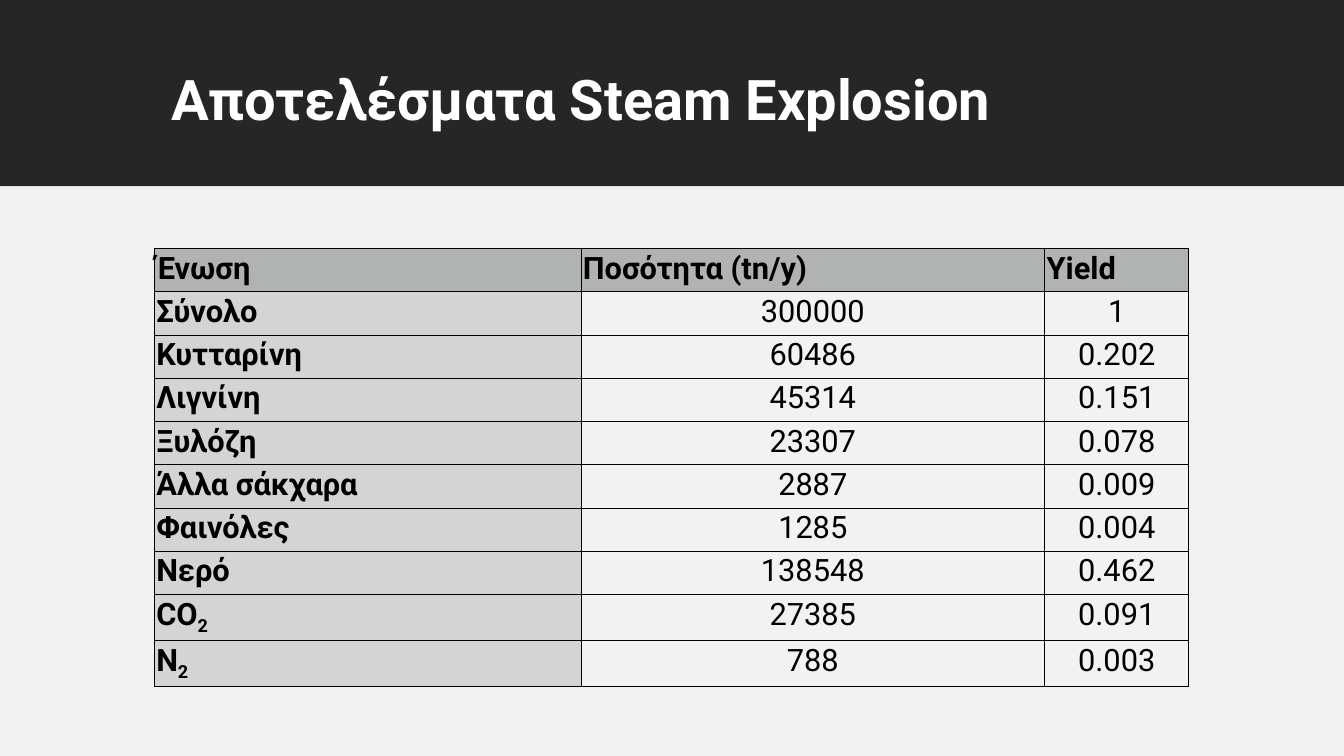
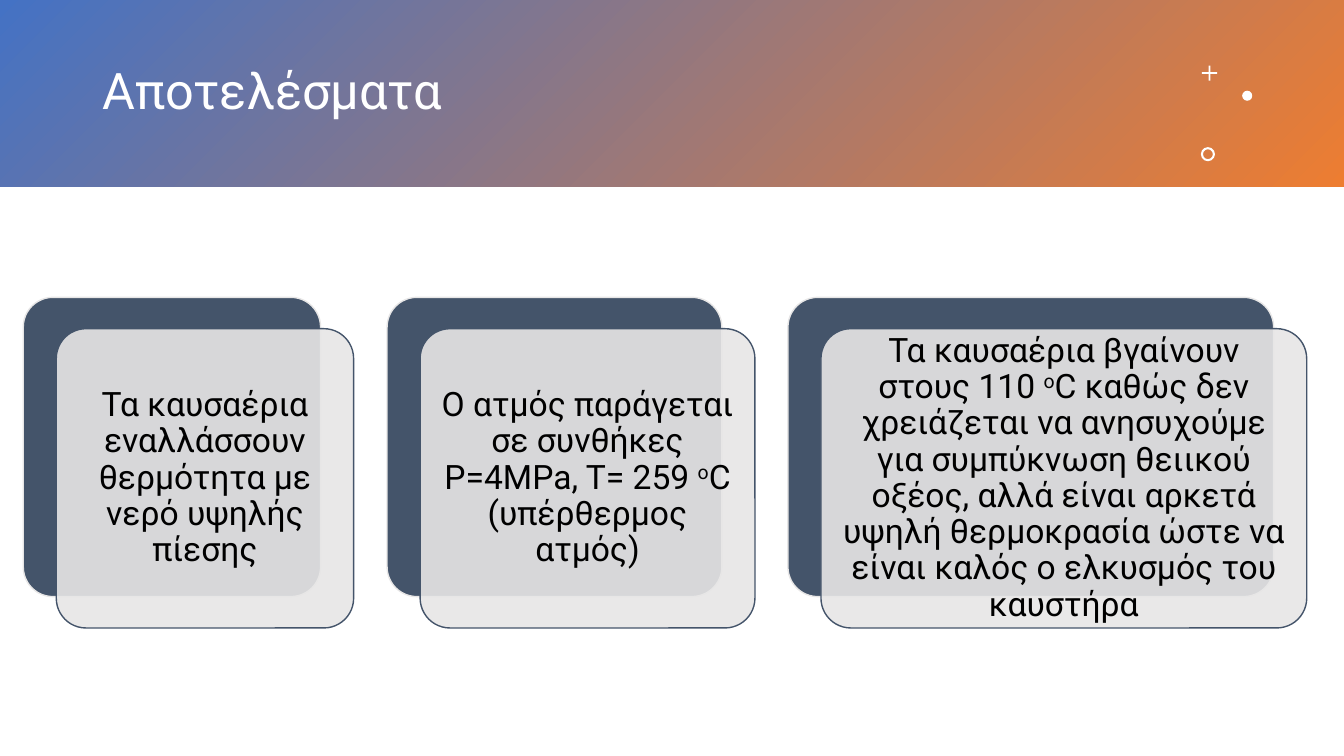
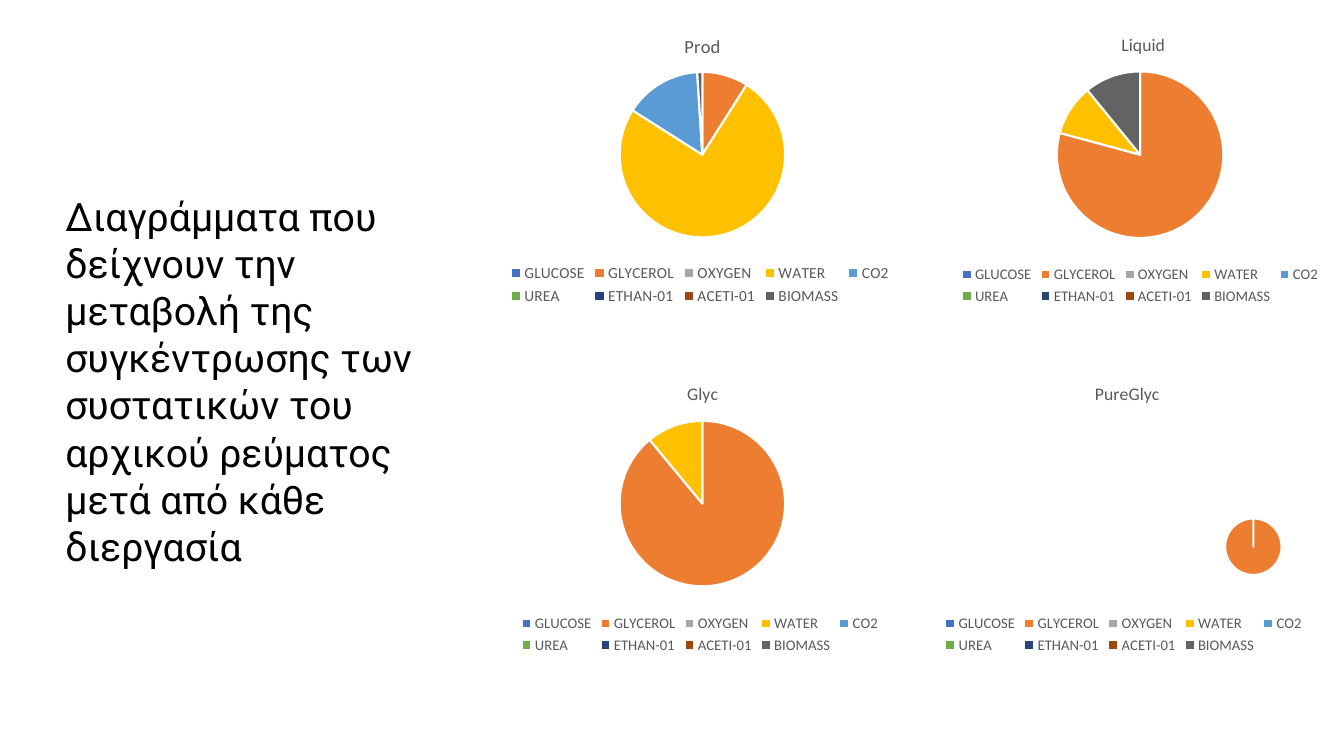
from pptx import Presentation
from pptx.chart.data import CategoryChartData as ChartData
from pptx.dml.color import RGBColor as Rgb
from pptx.enum.chart import XL_CHART_TYPE as Chart, XL_LEGEND_POSITION as Legend
from pptx.enum.shapes import MSO_SHAPE as Kind
from pptx.enum.text import MSO_ANCHOR as Anchor, PP_ALIGN as Align
from pptx.oxml import parse_xml
from pptx.oxml.ns import nsdecls, qn
from pptx.util import Pt
from lxml import etree

WIDE, HIGH, BAND = 960, 540, 133.2
FONT = "Roboto"
COLORS = {
    "black": "000000", "white": "FFFFFF", "dark": "262626", "pale": "F2F2F2",
    "head": "B0B3B2", "side": "D4D4D4", "blue": "4472C4", "orange": "ED7D31",
    "slate": "44546A", "mist": "E7E6E6", "gray": "595959",
}
SLICES = ["4472C4", "ED7D31", "A5A5A5", "FFC000", "5B9BD5",
          "70AD47", "264478", "9E480E", "636363"]
PARTS = ["GLUCOSE", "GLYCEROL", "OXYGEN", "WATER", "CO2",
         "UREA", "ETHAN-01", "ACETI-01", "BIOMASS"]
SUB, SUP = -25000, 30000

ROWS = [
    ("Ένωση", "Ποσότητα (tn/y)", "Yield"),
    ("Σύνολο", "300000", "1"),
    ("Κυτταρίνη", "60486", "0.202"),
    ("Λιγνίνη", "45314", "0.151"),
    ("Ξυλόζη", "23307", "0.078"),
    ("Άλλα σάκχαρα", "2887", "0.009"),
    ("Φαινόλες", "1285", "0.004"),
    ("Νερό", "138548", "0.462"),
    ([("CO", 0), ("2", SUB)], "27385", "0.091"),
    ([("N", 0), ("2", SUB)], "788", "0.003"),
]
CARDS = [
    (16.6, 212.4, "Τα καυσαέρια εναλλάσσουν θερμότητα με νερό υψηλής πίεσης"),
    (276.5, 239.2, [("Ο ατμός παράγεται σε συνθήκες P=4MPa, T= 259 ", 0),
                    ("o", SUP), ("C (υπέρθερμος ατμός)", 0)]),
    (562.8, 347, [("Τα καυσαέρια βγαίνουν στους 110 ", 0), ("o", SUP),
                  ("C καθώς δεν χρειάζεται να ανησυχούμε για συμπύκνωση θειικού "
                   "οξέος, αλλά είναι αρκετά υψηλή θερμοκρασία ώστε να είναι "
                   "καλός ο ελκυσμός του καυστήρα", 0)]),
]
# title, title left share, box, text size, values, pie box shares (None: centred)
PIES = [
    ("Liquid", 0.45, (657.4, 8.6, 313.9, 212.4), 10.5,
     [0, 80, 0, 10, 0, 0, 0, 0, 11], None),
    ("Glyc", 0.466, (331.2, 257.8, 337.7, 212.4), 10.5,
     [0, 89, 0, 11, 0, 0, 0, 0, 0], None),
    ("PureGlyc", 0.427, (645.8, 257.8, 313.9, 212.4), 10.5,
     [0, 100, 0, 0, 0, 0, 0, 0, 0], (0.73, 0.53, 0.13, 0.19)),
    ("Prod", 0.46, (331.2, 8.6, 337.7, 212.4), 11,
     [0, 9, 0, 75, 15, 0, 0, 0, 1], None),
]


def tint(name):
    return Rgb.from_string(COLORS[name])


def pts(*nums):
    return [Pt(n) for n in nums]


def write(frame, text, size, color="black", bold=False, align=None, gap=None):
    """Fill a frame with one paragraph; text is a string or (words, baseline) pairs."""
    frame.word_wrap = True
    para = frame.paragraphs[0]
    if isinstance(text, str):
        para.text = text
    else:
        for words, base in text:
            run = para.add_run()
            run.text = words
            if base:
                run.font._element.set("baseline", str(base))
    para.alignment = align
    if gap:
        para.line_spacing = gap
    for run in para.runs:
        font = run.font
        font.name, font.size, font.bold = FONT, Pt(size), bold
        font.color.rgb = tint(color)


def label(slide, box, text, size, anchor=Anchor.TOP, **style):
    frame = slide.shapes.add_textbox(*pts(*box)).text_frame
    frame.vertical_anchor = anchor
    write(frame, text, size, **style)


def block(slide, kind, box, fill=None, line=None, bend=None):
    shape = slide.shapes.add_shape(kind, *pts(*box))
    shape.shadow.inherit = False
    if fill:
        shape.fill.solid()
        shape.fill.fore_color.rgb = tint(fill)
    if line:
        shape.line.color.rgb = tint(line)
        shape.line.width = Pt(1)
    else:
        shape.line.fill.background()
    if bend is not None:
        shape.adjustments[0] = bend
    return shape


def band(slide, fill=None):
    return block(slide, Kind.RECTANGLE, (0, 0, WIDE, BAND), fill)


def edge(cell):
    """Draw a thin black line on all four sides of a cell."""
    props = cell._tc.get_or_add_tcPr()
    for spot, side in enumerate(("lnL", "lnR", "lnT", "lnB")):
        props.insert(spot, parse_xml(
            f'<a:{side} {nsdecls("a")} w="9525"><a:solidFill>'
            f'<a:srgbClr val="{COLORS["black"]}"/></a:solidFill></a:{side}>'))


def grid(slide, box, wides, rows):
    table = slide.shapes.add_table(len(rows), len(wides), *pts(*box)).table
    table.first_row = table.horz_banding = False
    for col, wide in zip(table.columns, wides):
        col.width = Pt(wide)
    for r, row in enumerate(rows):
        table.rows[r].height = Pt(box[3] / len(rows))
        for c, text in enumerate(row):
            cell = table.cell(r, c)
            cell.margin_left = cell.margin_right = Pt(1.44)
            cell.margin_top = cell.margin_bottom = Pt(1.44)
            name = r == 0 or c == 0
            if name:
                cell.fill.solid()
                cell.fill.fore_color.rgb = tint("side" if r else "head")
            else:
                cell.fill.background()
            write(cell.text_frame, text, 22, bold=name,
                  align=Align.LEFT if name else Align.CENTER)
            edge(cell)


def marks(slide, left, top):
    """Small white plus, dot and ring."""
    for kind, x, y, size, bend in ((Kind.CROSS, 0.7, 0, 10.8, 0.44),
                                   (Kind.OVAL, 29.5, 18, 7.2, None),
                                   (Kind.DONUT, 0, 58.3, 10.1, 0.15)):
        block(slide, kind, (left + x, top + y, size, size), "white", bend=bend)


def card(slide, left, top, wide, high, text):
    """Dark rounded card with a see-through one shifted over it."""
    block(slide, Kind.ROUNDED_RECTANGLE, (left, top, wide, high),
          "slate", "mist", 0.1)
    front = block(slide, Kind.ROUNDED_RECTANGLE,
                  (left + 23.6, top + 22.4, wide, high), "mist", "slate", 0.1)
    color = front._element.spPr.find(qn("a:solidFill"))[0]
    etree.SubElement(color, qn("a:alpha")).set("val", "90000")
    frame = front.text_frame
    frame.margin_left = frame.margin_right = Pt(7.2)
    frame.margin_top = frame.margin_bottom = Pt(7.2)
    frame.vertical_anchor = Anchor.MIDDLE
    write(frame, text, 24, align=Align.CENTER, gap=0.9)


def layout(x, y, size=None):
    """Manual chart layout in shares of the chart box."""
    vals = [("xMode", "edge"), ("yMode", "edge"), ("x", x), ("y", y)]
    if size:
        vals = [("layoutTarget", "inner")] + vals + [("w", size[0]), ("h", size[1])]
    inner = "".join(f'<c:{tag} val="{val}"/>' for tag, val in vals)
    return parse_xml(f'<c:layout {nsdecls("c")}><c:manualLayout>{inner}'
                     '</c:manualLayout></c:layout>')


def place(node, new, spot):
    old = node.find(qn("c:layout"))
    if old is not None:
        node.remove(old)
    node.insert(spot, new)


def pie(slide, name, start, box, size, vals, area):
    data = ChartData()
    data.categories = PARTS
    data.add_series("Series 1", vals)
    chart = slide.shapes.add_chart(Chart.PIE, *pts(*box), data).chart
    chart.font.name, chart.font.size = "Calibri", Pt(size)
    chart.font.color.rgb = tint("black")

    chart.has_title = True
    chart.chart_title.include_in_layout = False
    head = chart.chart_title.text_frame
    head.text = name
    font = head.paragraphs[0].runs[0].font
    font.name, font.size, font.bold = "Calibri", Pt(size * 1.2), False
    font.color.rgb = tint("gray")
    place(chart.chart_title._element, layout(start, 0.06), 1)

    chart.has_legend = True
    chart.legend.position = Legend.BOTTOM
    chart.legend.include_in_layout = False
    font = chart.legend.font
    font.name, font.size = "Calibri", Pt(size)
    font.color.rgb = tint("gray")

    plot = chart.plots[0]
    plot.vary_by_categories = True
    for spot, color in enumerate(SLICES):
        look = plot.series[0].points[spot].format
        look.fill.solid()
        look.fill.fore_color.rgb = Rgb.from_string(color)
        look.line.color.rgb = tint("white")
        look.line.width = Pt(1.5)
    if area is None:
        tall = 0.56
        part = round(tall * box[3] / box[2], 2)
        area = (round((1 - part) / 2, 2), 0.2, part, tall)
    place(chart._chartSpace.chart.plotArea, layout(*area[:2], area[2:]), 0)


def yields(slide):
    band(slide, "dark")
    label(slide, (115.2, 48.2, 730, 70.6), "Αποτελέσματα Steam Explosion", 40,
          color="white", bold=True, gap=0.9)
    block(slide, Kind.RECTANGLE, (0, BAND, WIDE, HIGH - BAND), "pale")
    grid(slide, (110.2, 177.5, 739, 309), (304.8, 331.2, 103), ROWS)


def steam(slide):
    fill = band(slide).fill
    fill.gradient()
    fill.gradient_angle = 315
    for stop, spot, name in zip(fill.gradient_stops, (0, 1), ("blue", "orange")):
        stop.position = spot
        stop.color.rgb = tint(name)
    label(slide, (66.2, 23.8, 774, 85.7), "Αποτελέσματα", 36, Anchor.MIDDLE,
          color="white", gap=0.9)
    marks(slide, 857.8, 46.8)
    for left, wide, text in CARDS:
        card(slide, left, 212.4, wide, 213.8, text)


def streams(slide):
    for item in PIES:
        pie(slide, *item)
    label(slide, (39.6, 134, 302.4, 211),
          "Διαγράμματα που δείχνουν την μεταβολή της συγκέντρωσης των "
          "συστατικών του αρχικού ρεύματος μετά από κάθε διεργασία", 28)


def main():
    deck = Presentation()
    deck.slide_width, deck.slide_height = pts(WIDE, HIGH)
    for build in (yields, steam, streams):
        build(deck.slides.add_slide(deck.slide_layouts[6]))
    deck.save("out.pptx")


if __name__ == "__main__":
    main()
